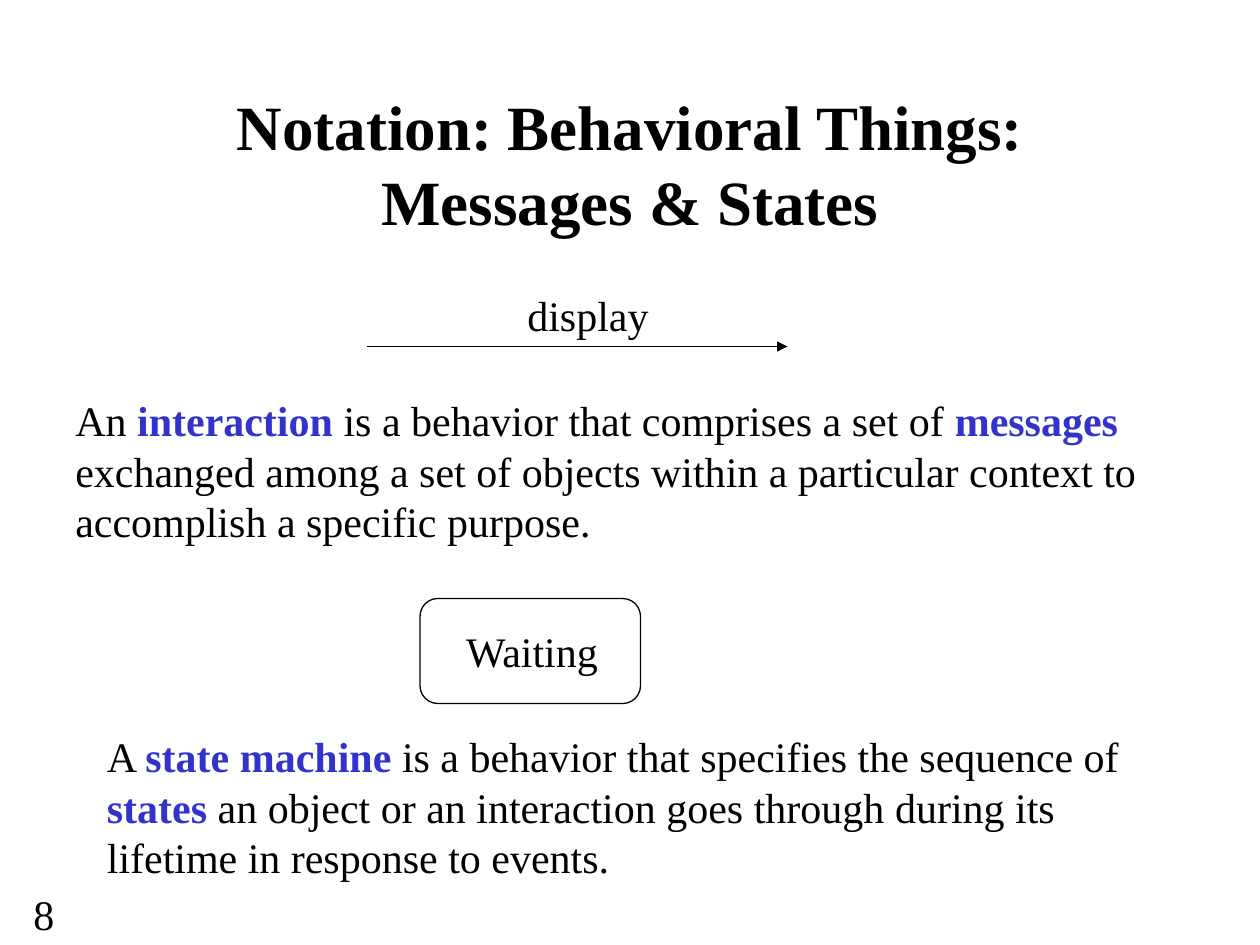
"""Build a slide on the notation of messages and states."""
from dataclasses import dataclass

from lxml import etree
from pptx import Presentation
from pptx.dml.color import RGBColor
from pptx.enum.shapes import MSO_CONNECTOR, MSO_SHAPE
from pptx.enum.text import MSO_ANCHOR, PP_ALIGN
from pptx.oxml.ns import qn
from pptx.util import Pt

LEFT, CENTER = PP_ALIGN.LEFT, PP_ALIGN.CENTER
TOP, MIDDLE = MSO_ANCHOR.TOP, MSO_ANCHOR.MIDDLE
LINE, ROUND = MSO_CONNECTOR.STRAIGHT, MSO_SHAPE.ROUNDED_RECTANGLE
FONT, BLACK, BLUE = "Times New Roman", "000000", "3333CC"
MARK = "*"


@dataclass(frozen=True)
class Label:
    text: str
    left: float
    top: float
    width: float
    height: float = 36
    align: PP_ALIGN = LEFT
    anchor: MSO_ANCHOR = TOP
    size: float = 24
    bold: bool = False


LABELS = (
    Label("8", 12, 504, 48),
    Label("Notation: Behavioral Things:\nMessages & States", 54, 48, 612, 90,
          CENTER, MIDDLE, 36, True),
    Label("display", 264, 162, 144, align=CENTER),
    Label("An *interaction* is a behavior that comprises a set of *messages "
          "*exchanged among a set of objects within a particular context to "
          "accomplish a specific purpose.", 36, 222, 648, 93.6),
    Label("Waiting", 229, 354, 150, align=CENTER),
    Label("A *state machine *is a behavior that specifies the sequence of "
          "*states* an object or an interaction goes through during its "
          "lifetime in response to events.", 54, 414, 624, 93.6),
)


def color(code: str) -> RGBColor:
    """Turn a hex string into a colour."""
    return RGBColor.from_string(code)


def style(run, size: float, bold: bool, code: str) -> None:
    """Set the font of a run."""
    font = run.font
    font.name, font.size, font.bold = FONT, Pt(size), bold
    font.color.rgb = color(code)


def add_label(slide, label: Label) -> None:
    """Draw a text box whose marked terms are bold and blue."""
    box = slide.shapes.add_textbox(
        Pt(label.left), Pt(label.top), Pt(label.width), Pt(label.height))
    frame = box.text_frame
    frame.word_wrap = True
    frame.vertical_anchor = label.anchor
    first, *rest = label.text.split(MARK)
    frame.paragraphs[0].text = first
    para = frame.paragraphs[0]
    para.text = first
    para.alignment = label.align
    for run in para.runs:
        style(run, label.size, label.bold, BLACK)
    for rank, part in enumerate(rest):
        run = para.add_run()
        run.text = part
        term = rank % 2 == 0
        style(run, label.size, term, BLUE if term else BLACK)


def add_arrow(slide, left: float, right: float, top: float) -> None:
    """Draw a level arrow that points right."""
    arrow = slide.shapes.add_connector(
        LINE, Pt(left), Pt(top), Pt(right), Pt(top))
    arrow.line.color.rgb = color(BLACK)
    arrow.line.width = Pt(0.75)
    props = arrow.line._get_or_add_ln()
    etree.SubElement(props, qn("a:tailEnd"), type="triangle")
    etree.SubElement(arrow._element.spPr, qn("a:effectLst"))


def add_state(slide, left: float, top: float,
              width: float, height: float) -> None:
    """Draw the round outline of a state."""
    state = slide.shapes.add_shape(
        ROUND, Pt(left), Pt(top), Pt(width), Pt(height))
    state.shadow.inherit = False
    state.adjustments[0] = 0.17
    state.fill.background()
    state.line.color.rgb = color(BLACK)
    state.line.width = Pt(0.75)


def main() -> None:
    """Build and save the slide."""
    deck = Presentation()
    deck.slide_width, deck.slide_height = Pt(720), Pt(540)
    slide = deck.slides.add_slide(deck.slide_layouts[6])
    add_arrow(slide, 210, 450, 198)
    add_state(slide, 240, 342, 126, 60)
    for label in LABELS:
        add_label(slide, label)
    deck.save("out.pptx")


if __name__ == "__main__":
    main()
